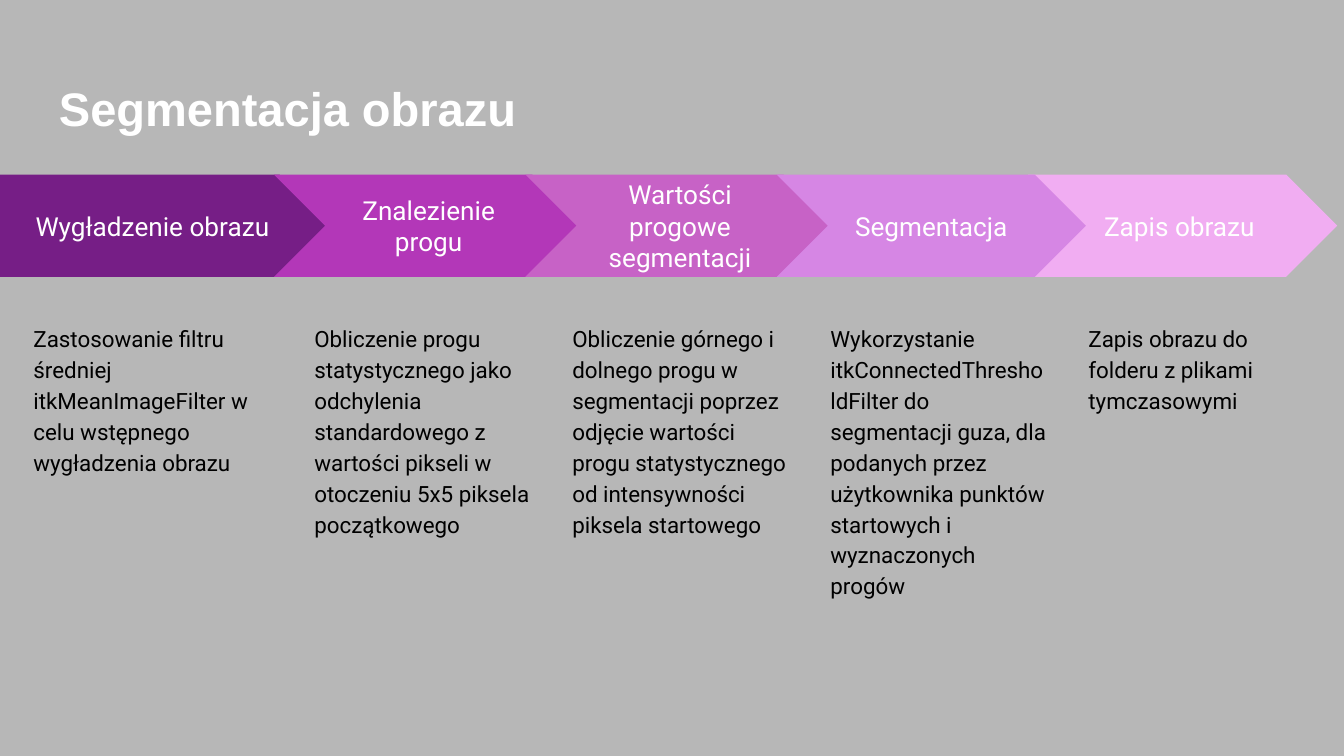
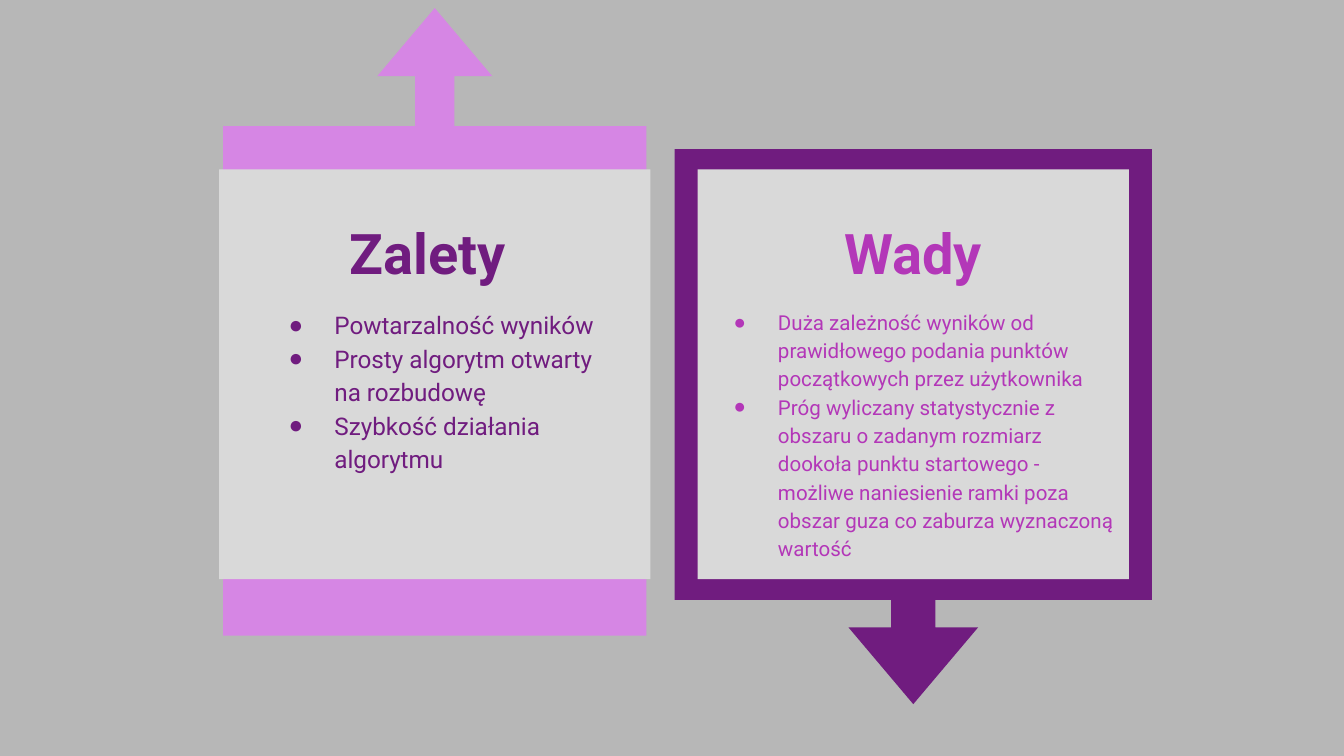
from lxml import etree
from pptx import Presentation
from pptx import util as u
from pptx.dml.color import RGBColor
from pptx.enum import shapes, text
from pptx.oxml.ns import qn

GREY = RGBColor(0xB7, 0xB7, 0xB7)
PANEL = RGBColor(0xD9, 0xD9, 0xD9)
WHITE = RGBColor(0xFF, 0xFF, 0xFF)
BLACK = RGBColor(0, 0, 0)
PLUM = RGBColor(0x76, 0x1E, 0x86)
DEEP = RGBColor(0x70, 0x1C, 0x7F)
MAGENTA = RGBColor(0xB3, 0x37, 0xB8)
ORCHID = RGBColor(0xC7, 0x62, 0xC6)
LILAC = RGBColor(0xD6, 0x86, 0xE4)
PINK = RGBColor(0xF1, 0xAD, 0xF2)

BODY_FONT = "Roboto"
TITLE_FONT = "Arial"
CENTER = text.PP_ALIGN.CENTER
SHAPE = shapes.MSO_SHAPE

TITLE = "Segmentacja obrazu"
STEPS = [
    ("Wygładzenie obrazu", PLUM,
     "Zastosowanie filtru średniej itkMeanImageFilter w celu wstępnego wygładzenia obrazu"),
    ("Znalezienie progu", MAGENTA,
     "Obliczenie progu statystycznego jako odchylenia standardowego z wartości pikseli "
     "w otoczeniu 5x5 piksela początkowego"),
    ("Wartości progowe segmentacji", ORCHID,
     "Obliczenie górnego i dolnego progu w segmentacji poprzez odjęcie wartości progu "
     "statystycznego od intensywności piksela startowego"),
    ("Segmentacja", LILAC,
     "Wykorzystanie itkConnectedThresholdFilter do segmentacji guza, dla podanych przez "
     "użytkownika punktów startowych i wyznaczonych progów"),
    ("Zapis obrazu ", PINK, "Zapis obrazu do folderu z plikami tymczasowymi"),
]
STACKING = (0, 1, 2, 4, 3)

CARDS = [
    {"heading": "Zalety ", "ink": DEEP, "frame": LILAC, "turn": 270, "size": 13, "hang": 0.34,
     "callout": (0.9, 0.82, 4.67, 3.15), "panel": 1.63, "text": (1.89, 2.69),
     "points": ["Powtarzalność wyników",
                "Prosty algorytm otwarty na rozbudowę",
                "Szybkość działania algorytmu"]},
    {"heading": "Wady", "ink": MAGENTA, "frame": DEEP, "turn": 90, "size": 11, "hang": 0.33,
     "callout": (4.73, 1.4, 4.13, 3.55), "panel": 5.19, "text": (5.19, 3.21),
     "points": ["Duża zależność wyników od prawidłowego podania punktów początkowych "
                "przez użytkownika",
                "Próg wyliczany statystycznie z obszaru o zadanym rozmiarz dookoła punktu "
                "startowego - możliwe naniesienie ramki poza obszar guza co zaburza "
                "wyznaczoną wartość"]},
]


def add_page(deck):
    page = deck.slides.add_slide(deck.slide_layouts[6])
    page.background.fill.solid()
    page.background.fill.fore_color.rgb = GREY
    return page


def prepare_frame(shape, anchor):
    frame = shape.text_frame
    frame.word_wrap = True
    frame.vertical_anchor = anchor
    frame.margin_left = frame.margin_right = u.Inches(0.1)
    frame.margin_top = frame.margin_bottom = u.Inches(0.1)
    return frame


def add_box(page, left, top, width, height, anchor=text.MSO_ANCHOR.TOP):
    box = page.shapes.add_textbox(*map(u.Inches, (left, top, width, height)))
    return prepare_frame(box, anchor)


def add_block(page, kind, left, top, width, height, color, adjustments=()):
    block = page.shapes.add_shape(kind, *map(u.Inches, (left, top, width, height)))
    block.shadow.inherit = False
    block.fill.solid()
    block.fill.fore_color.rgb = color
    block.line.fill.background()
    for index, value in enumerate(adjustments):
        block.adjustments[index] = value
    return block


def write(para, words, size, color, bold=False, font=BODY_FONT, align=None, spacing=None):
    para.alignment = align
    para.line_spacing = spacing
    span = para.add_run()
    span.text = words
    span.font.name = font
    span.font.size = u.Pt(size)
    span.font.bold = bold
    span.font.color.rgb = color


def add_bullet(para, color, hang):
    props = para._p.get_or_add_pPr()
    props.set("marL", str(u.Inches(0.5)))
    props.set("indent", str(-u.Inches(hang)))
    tint = etree.SubElement(props, qn("a:buClr"))
    etree.SubElement(tint, qn("a:srgbClr"), val=str(color))
    etree.SubElement(props, qn("a:buFont"), typeface=TITLE_FONT)
    etree.SubElement(props, qn("a:buChar"), char="●")


def build_process(deck):
    page = add_page(deck)
    title = add_box(page, 0.34, 0.49, 9.32, 0.63, text.MSO_ANCHOR.MIDDLE)
    write(title.paragraphs[0], TITLE, 25.2, WHITE, bold=True, font=TITLE_FONT)
    for index in STACKING:
        name, color, detail = STEPS[index]
        if index == 0:
            kind, left, width = SHAPE.PENTAGON, 0, 2.46
            text_left, text_width = 0.15, 1.99
        else:
            kind, left, width = SHAPE.CHEVRON, 2.04 + 1.87 * (index - 1), 2.3
            text_left, text_width = 2.24 + 1.92 * (index - 1), 1.81
        arrow = add_block(page, kind, left, 1.3, width, 0.76, color, [0.5])
        label = prepare_frame(arrow, text.MSO_ANCHOR.MIDDLE)
        write(label.paragraphs[0], name, 14, WHITE, align=CENTER)
        body = add_box(page, text_left, 2.29, text_width, 2.68)
        write(body.paragraphs[0], detail, 12, BLACK, spacing=1.15)


def build_comparison(deck):
    page = add_page(deck)
    for card in CARDS:
        callout = add_block(page, SHAPE.RIGHT_ARROW_CALLOUT, *card["callout"],
                            card["frame"], [0.093, 0.136, 0.161, 0.812])
        callout.rotation = card["turn"]
        add_block(page, SHAPE.RECTANGLE, card["panel"], 1.26, 3.21, 3.05, PANEL)
        left, width = card["text"]
        frame = add_box(page, left, 1.45, width, 2.54)
        heading = frame.paragraphs[0]
        write(heading, card["heading"], 30, card["ink"], bold=True, align=CENTER, spacing=1.15)
        heading.space_after = u.Pt(11)
        for point in card["points"]:
            para = frame.add_paragraph()
            write(para, point, card["size"], card["ink"], spacing=1.15)
            add_bullet(para, card["ink"], card["hang"])


def main():
    deck = Presentation()
    deck.slide_width = u.Inches(10)
    deck.slide_height = u.Inches(5.625)
    build_process(deck)
    build_comparison(deck)
    deck.save("out.pptx")


if __name__ == "__main__":
    main()
